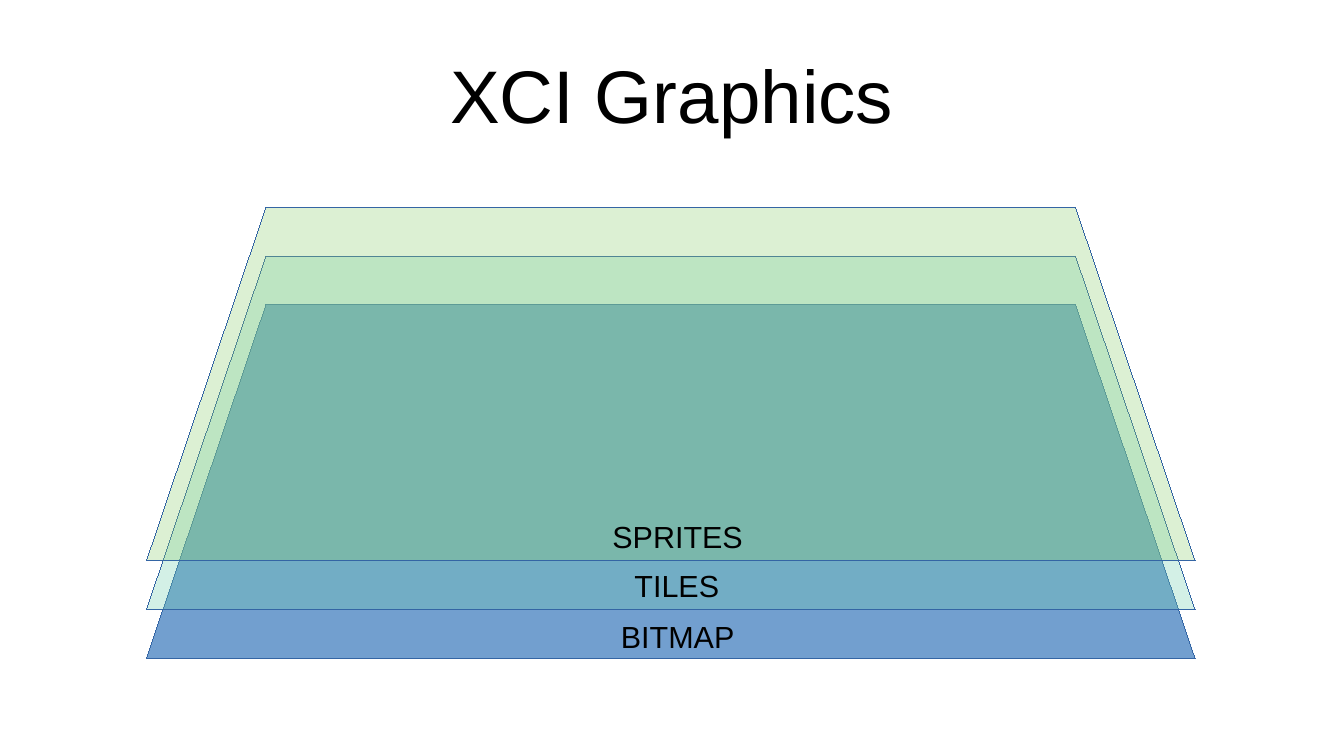
from lxml import etree
from pptx import Presentation
from pptx.dml.color import RGBColor
from pptx.enum import text
from pptx.oxml import ns
from pptx.util import Pt

COLORS = {
    "text": "000000",
    "outline": "3465A4",
    "bitmap": "729FCF",
    "tiles": "72CFAF",
    "sprites": "8FCF72",
}
LEFT, RIGHT, HEIGHT, INSET = 86.4, 705.6, 208.8, 70.56
LABEL_CENTER, LABEL_HEIGHT = 400.5, 27.36
HAIRLINE = 0.01


def format_text(shape, size):
    font = shape.text_frame.paragraphs[0].runs[0].font
    font.name = "Arial"
    font.size = Pt(size)
    font.color.rgb = RGBColor.from_string(COLORS["text"])


presentation = Presentation()
presentation.slide_width = Pt(793.44)
presentation.slide_height = Pt(446.4)
slide = presentation.slides.add_slide(presentation.slide_layouts[5])

title = slide.shapes.title
title.left, title.top, title.width, title.height = Pt(39.6), Pt(18), Pt(714.24), Pt(74.88)
frame = title.text_frame
frame.text = "XCI Graphics"
frame.margin_left = frame.margin_right = frame.margin_top = frame.margin_bottom = 0
frame.vertical_anchor = text.MSO_ANCHOR.MIDDLE
frame.paragraphs[0].alignment = text.PP_ALIGN.CENTER
format_text(title, 44)

# Layers from back to front: name, top, opacity in percent, label top, label width
layers = [
    ("BITMAP", 180, 100, 361.44, 82),
    ("TILES", 151.2, 31, 331.2, 66),
    ("SPRITES", 122.4, 31, 302.4, 92),
]
for name, top, opacity, label_top, label_width in layers:
    bottom = top + HEIGHT
    builder = slide.shapes.build_freeform(Pt(RIGHT), Pt(bottom))
    builder.add_line_segments([
        (Pt(LEFT), Pt(bottom)),
        (Pt(LEFT + INSET), Pt(top)),
        (Pt(RIGHT - INSET), Pt(top)),
    ], close=True)
    layer = builder.convert_to_shape()
    layer.shadow.inherit = False
    layer.fill.solid()
    layer.fill.fore_color.rgb = RGBColor.from_string(COLORS[name.lower()])
    layer.line.color.rgb = RGBColor.from_string(COLORS["outline"])
    layer.line.width = Pt(HAIRLINE)
    if opacity < 100:
        color = layer.element.spPr.find(ns.qn("a:solidFill"))[0]
        etree.SubElement(color, ns.qn("a:alpha"), val=str(opacity * 1000))

    label = slide.shapes.add_textbox(
        Pt(LABEL_CENTER - label_width / 2), Pt(label_top), Pt(label_width), Pt(LABEL_HEIGHT))
    label.text_frame.text = name
    label.text_frame.word_wrap = False
    label.text_frame.auto_size = text.MSO_AUTO_SIZE.SHAPE_TO_FIT_TEXT
    format_text(label, 18)

presentation.save("out.pptx")
